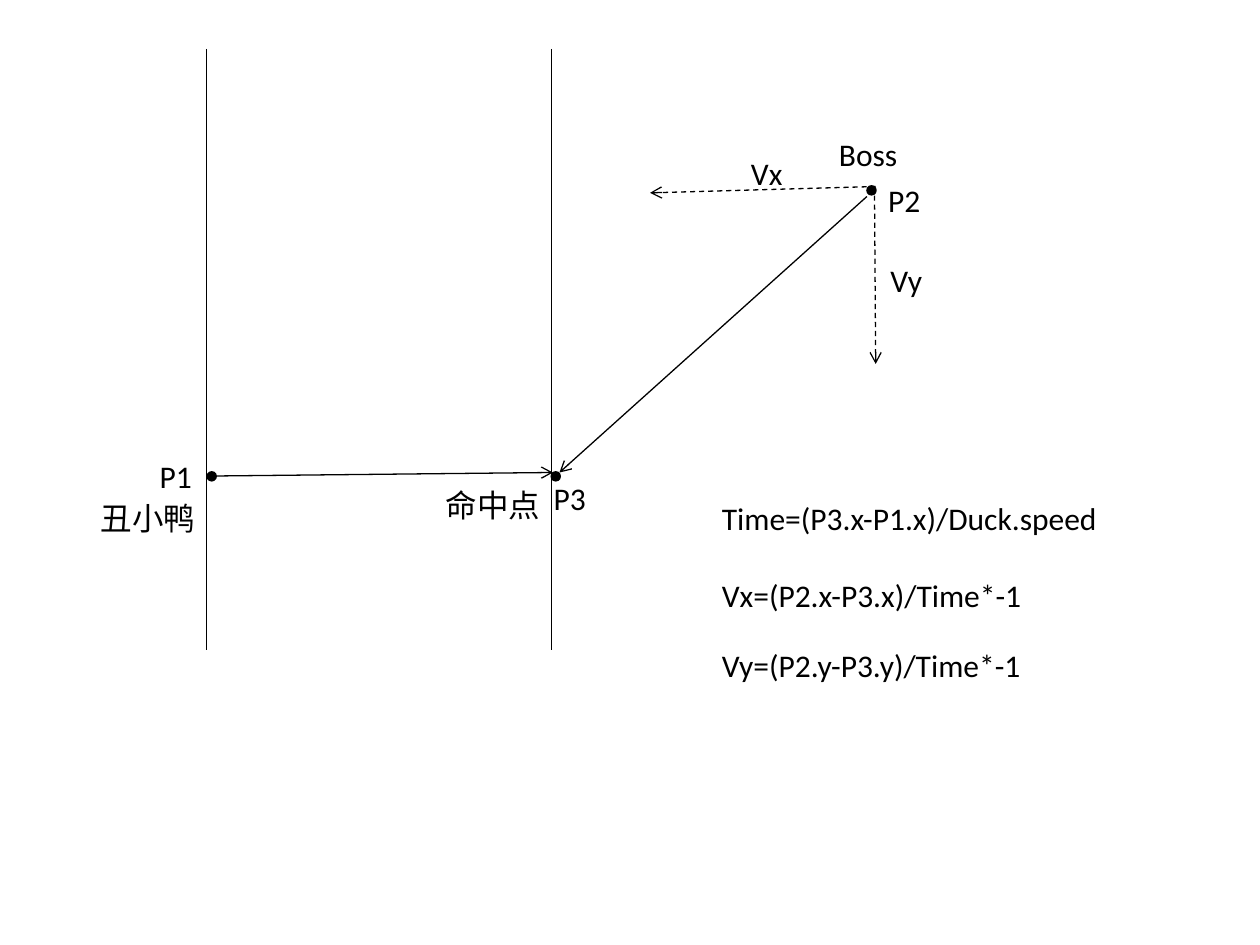
"""Build a slide that shows how the boss velocity is worked out from the hit point."""
import lxml.etree
import pptx
import pptx.dml.color
import pptx.enum.dml
import pptx.enum.shapes
import pptx.enum.text
import pptx.oxml.ns
import pptx.util
from dataclasses import dataclass

Pt = pptx.util.Pt
qn = pptx.oxml.ns.qn


@dataclass(frozen=True)
class Theme:
    ink: pptx.dml.color.RGBColor = pptx.dml.color.RGBColor(0, 0, 0)
    font: str = "Calibri"
    text_size: float = 18
    line_width: float = 0.75
    dot_size: float = 6


theme = Theme()
deck = pptx.Presentation()
deck.slide_width = Pt(720)
deck.slide_height = Pt(540)
page = deck.slides.add_slide(deck.slide_layouts[6])


def add_text(text, *, left, top, width, height=29, wrap=True):
    box = page.shapes.add_textbox(Pt(left), Pt(top), Pt(width), Pt(height))
    frame = box.text_frame
    frame.word_wrap = wrap
    frame.auto_size = pptx.enum.text.MSO_AUTO_SIZE.SHAPE_TO_FIT_TEXT
    span = frame.paragraphs[0].add_run()
    span.text = text
    span.font.name = theme.font
    span.font.size = Pt(theme.text_size)
    span.font.color.rgb = theme.ink


def add_line(start, end, *, arrow=True, dashed=False):
    line = page.shapes.add_connector(
        pptx.enum.shapes.MSO_CONNECTOR.STRAIGHT, *map(Pt, start + end)
    )
    line.line.color.rgb = theme.ink
    line.line.width = Pt(theme.line_width)
    if dashed:
        line.line.dash_style = pptx.enum.dml.MSO_LINE.DASH
    properties = line._element.spPr
    if arrow:
        lxml.etree.SubElement(properties.find(qn("a:ln")), qn("a:tailEnd"), type="arrow")
    lxml.etree.SubElement(properties, qn("a:effectLst"))


points = [
    ("P1", 84.2, 257.8, 118, 269.2),
    ("P2", 500.4, 100.1, 495, 105.8),
    ("P3", 309.3, 270, 314.6, 269.2),
]
for name, label_left, label_top, dot_left, dot_top in points:
    add_text(name, left=label_left, top=label_top, width=39.6)
    dot = page.shapes.add_shape(
        pptx.enum.shapes.MSO_SHAPE.OVAL,
        Pt(dot_left), Pt(dot_top), Pt(theme.dot_size), Pt(theme.dot_size),
    )
    dot.shadow.inherit = False
    dot.fill.solid()
    dot.fill.fore_color.rgb = theme.ink
    dot.line.fill.background()

for wall_left in (118, 315):
    add_line((wall_left, 28), (wall_left, 371.5), arrow=False)

add_line((124, 272), (316, 270))
add_line((495.4, 112.3), (319.7, 270))

add_line((499.7, 106.6), (500.4, 208), dashed=True)
add_line((500.4, 106.6), (371.5, 110.2), dashed=True)

add_text("Vx", left=422, top=84.2, width=32.4, wrap=False)
add_text("Vy", left=501.8, top=145.4, width=33, wrap=False)

formulas = [
    ("Time=(P3.x-P1.x)/Duck.speed", 281.5, 232),
    ("Vx=(P2.x-P3.x)/Time*-1", 325.4, 188),
    ("Vy=(P2.y-P3.y)/Time*-1", 365.8, 187),
]
for formula, formula_top, formula_width in formulas:
    add_text(formula, left=405.4, top=formula_top, width=formula_width, wrap=False)

add_text("Boss", left=472.3, top=73.4, width=56.2)
add_text("丑小鸭", left=50.4, top=281.5, width=77.8)
add_text("命中点", left=247.7, top=274.3, width=77.8)

deck.save("out.pptx")
